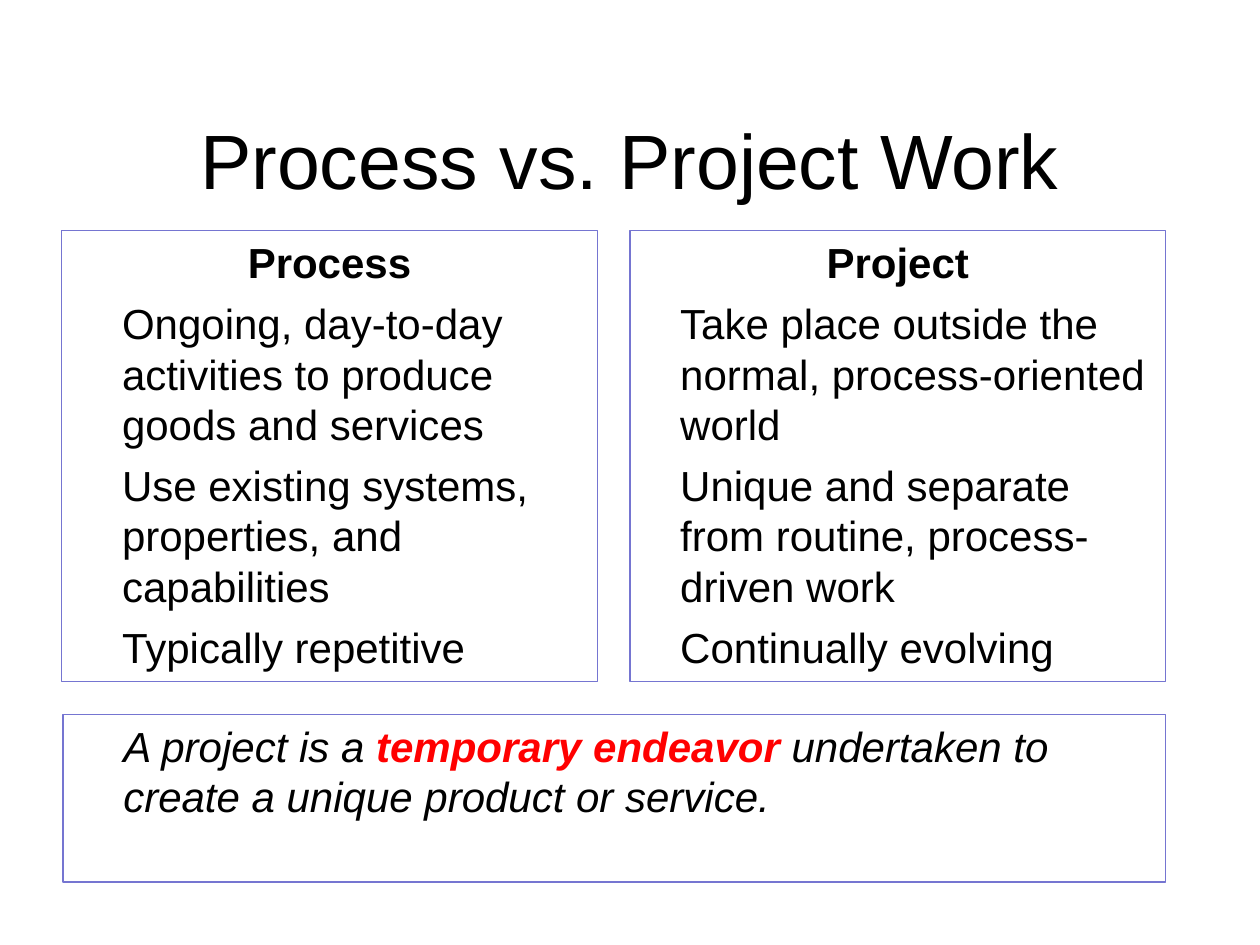
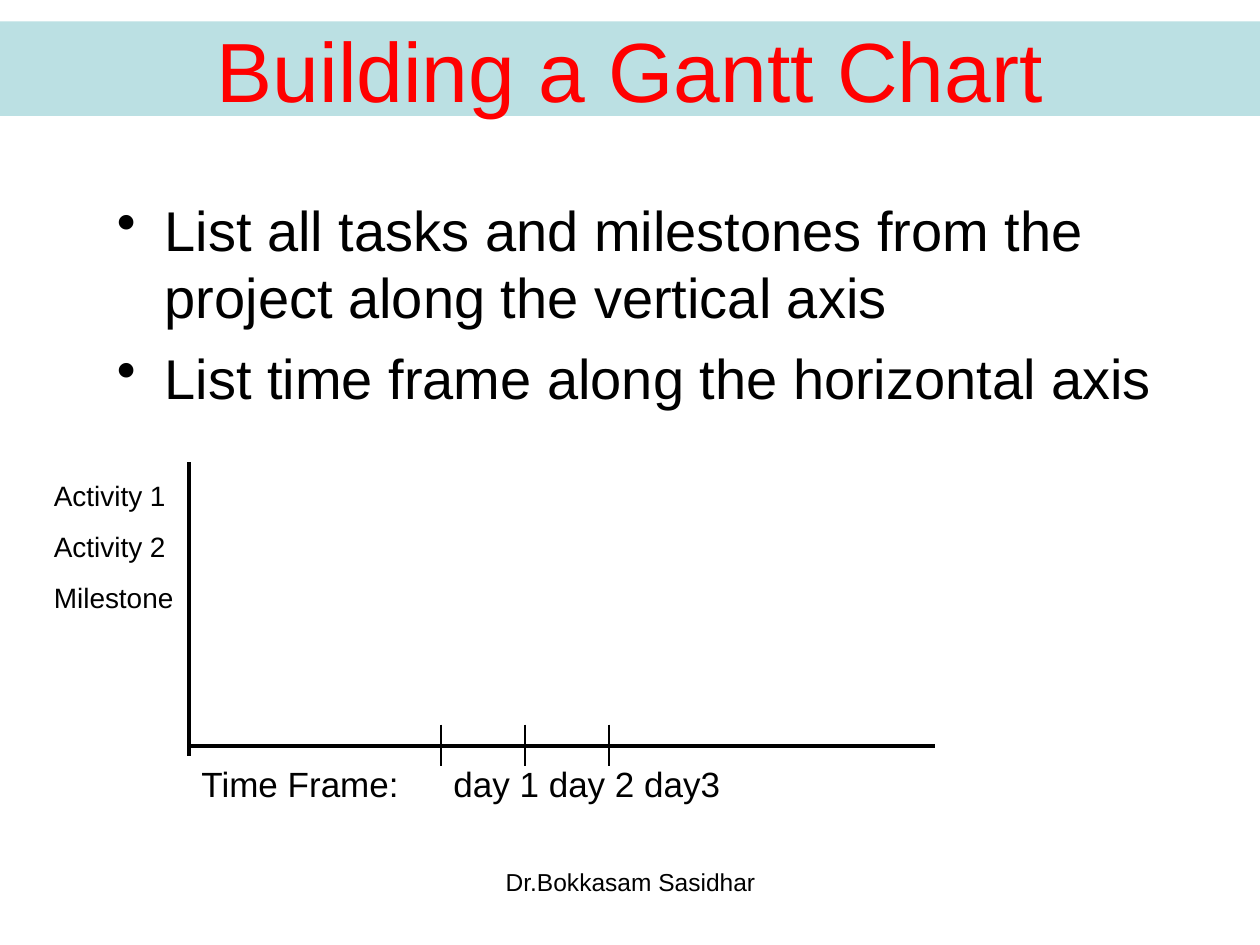
from lxml.etree import SubElement
from pptx import Presentation
from pptx.dml.color import RGBColor
from pptx.enum.shapes import MSO_CONNECTOR as CONN, MSO_SHAPE as SHAPE
from pptx.enum.text import MSO_ANCHOR as ANCHOR, PP_ALIGN as ALIGN
from pptx.oxml.ns import qn
from pptx.util import Inches, Pt

BLACK = RGBColor(0x00, 0x00, 0x00)
RED = RGBColor(0xFF, 0x00, 0x00)
FRAME = RGBColor(0x75, 0x75, 0xD1)
BAND = RGBColor(0xBB, 0xE0, 0xE3)
FONT = "Arial"


def add_box(s, box, fill=None, line=None, anchor=ANCHOR.TOP):
    """Add a rectangle for text and return its text frame."""
    sp = s.shapes.add_shape(SHAPE.RECTANGLE, *map(Inches, box))
    sp.shadow.inherit = False
    if fill is None:
        sp.fill.background()
    else:
        sp.fill.solid()
        sp.fill.fore_color.rgb = fill
    if line is None:
        sp.line.fill.background()
    else:
        sp.line.color.rgb = line
        sp.line.width = Pt(0.75)
    return set_frame(sp.text_frame, anchor)


def add_textbox(s, box, anchor=ANCHOR.TOP):
    """Add a wrapping text box and return its text frame."""
    return set_frame(s.shapes.add_textbox(*map(Inches, box)).text_frame, anchor)


def set_frame(tf, anchor):
    """Turn on wrapping and set the vertical anchor."""
    tf.word_wrap = True
    tf.vertical_anchor = anchor
    return tf


def add_paragraph(tf, runs, size, before=0, align=ALIGN.LEFT, indent=0, bullet=None, tab=None):
    """Write one paragraph from text or (text, format) runs."""
    p = tf.paragraphs[0] if not tf.paragraphs[0].runs else tf.add_paragraph()
    p.alignment = align
    p.space_before = Pt(before)
    pPr = p._p.get_or_add_pPr()
    pPr.set("marL", str(Inches(indent)))
    pPr.set("indent", str(-Inches(indent) if bullet else 0))
    if bullet:
        SubElement(pPr, qn("a:buChar"), char=bullet)
    if tab:
        tabs = SubElement(pPr, qn("a:tabLst"))
        SubElement(tabs, qn("a:tab"), pos=str(Inches(tab)), algn="l")
    for text, changes in [(runs, {})] if isinstance(runs, str) else runs:
        r = p.add_run()
        r.text = text
        style = {"name": FONT, "size": Pt(size), "bold": False, "italic": False,
                 "color": BLACK, **changes}
        r.font.color.rgb = style.pop("color")
        for key, value in style.items():
            setattr(r.font, key, value)


def add_line(s, x1, y1, x2, y2, width):
    """Draw a plain black line."""
    ln = s.shapes.add_connector(CONN.STRAIGHT, *map(Inches, (x1, y1, x2, y2)))
    ln.line.color.rgb = BLACK
    ln.line.width = Pt(width)
    SubElement(ln._element.spPr, qn("a:effectLst"))


def add_column(s, box, heading, points, indent):
    """Frame a bold centred heading above indented points."""
    tf = add_box(s, box, line=FRAME)
    add_paragraph(tf, [(heading, {"bold": True})], 24, 6, ALIGN.CENTER)
    for point in points:
        add_paragraph(tf, point, 24, 6, indent=indent)


def add_definition(s, box):
    """Frame the definition of a project."""
    tf = add_box(s, box, line=FRAME)
    add_paragraph(tf, [
        ("A project is a ", {"italic": True}),
        ("temporary endeavor ", {"italic": True, "bold": True, "color": RED}),
        ("undertaken to create a unique product or service.", {"italic": True}),
    ], 24, 6, indent=0.38)


def add_gantt_axes(s, box):
    """Draw the empty chart axes, day ticks and labels."""
    x, y, w, h = box
    base = y + h - 0.08
    add_line(s, x, y, x, y + h, 2.25)
    add_line(s, x, base, x + w, base, 2.25)
    for day in range(3):
        tick = x + 2 + day * 2 / 3
        add_line(s, tick, base - 0.17, tick, base + 0.16, 0.75)
    tf = add_textbox(s, (x - 1.17, y + 0.08, 1.33, 1.18))
    for task in ("Activity 1", "Activity 2", "Milestone"):
        add_paragraph(tf, task, 16, 10)
    tf = add_textbox(s, (x, y + h, 6.08, 0.44))
    add_paragraph(tf, "Time Frame:\tday 1 day 2 day3", 20, 12.5, tab=1.8)


def build_comparison(s):
    """Compare process work with project work."""
    tf = add_textbox(s, (0.5, 0.77, 9, 0.98), ANCHOR.MIDDLE)
    add_paragraph(tf, "Process vs. Project Work", 44, align=ALIGN.CENTER)
    add_column(s, (0.49, 1.83, 4.25, 3.58), "Process", (
        "Ongoing, day-to-day activities to produce goods and services",
        "Use existing systems, properties, and capabilities",
        "Typically repetitive",
    ), 0.38)
    add_column(s, (5, 1.83, 4.25, 3.58), "Project", (
        "Take place outside the normal, process-oriented world",
        "Unique and separate from routine, process-driven work",
        "Continually evolving",
    ), 0.3)
    add_definition(s, (0.5, 5.67, 8.75, 1.33))


def build_gantt(s):
    """Explain the axes of a Gantt chart."""
    tf = add_box(s, (0, 0.17, 10, 0.75), fill=BAND, anchor=ANCHOR.MIDDLE)
    add_paragraph(tf, [("Building a Gantt Chart", {"color": RED})], 48, align=ALIGN.CENTER)
    tf = add_textbox(s, (0.83, 1.5, 8.5, 4.5))
    for point in ("List all tasks and milestones from the project along the vertical axis",
                  "List time frame along the horizontal axis"):
        add_paragraph(tf, point, 32, 8, indent=0.38, bullet="•")
    add_gantt_axes(s, (1.5, 3.67, 5.92, 2.33))
    tf = add_textbox(s, (3.42, 6.83, 3.17, 0.52))
    add_paragraph(tf, "Dr.Bokkasam Sasidhar", 14, align=ALIGN.CENTER)


def main():
    """Build both slides and save them."""
    prs = Presentation()
    prs.slide_width, prs.slide_height = Inches(10), Inches(7.5)
    for build in (build_comparison, build_gantt):
        build(prs.slides.add_slide(prs.slide_layouts[6]))
    prs.save("out.pptx")


if __name__ == "__main__":
    main()
